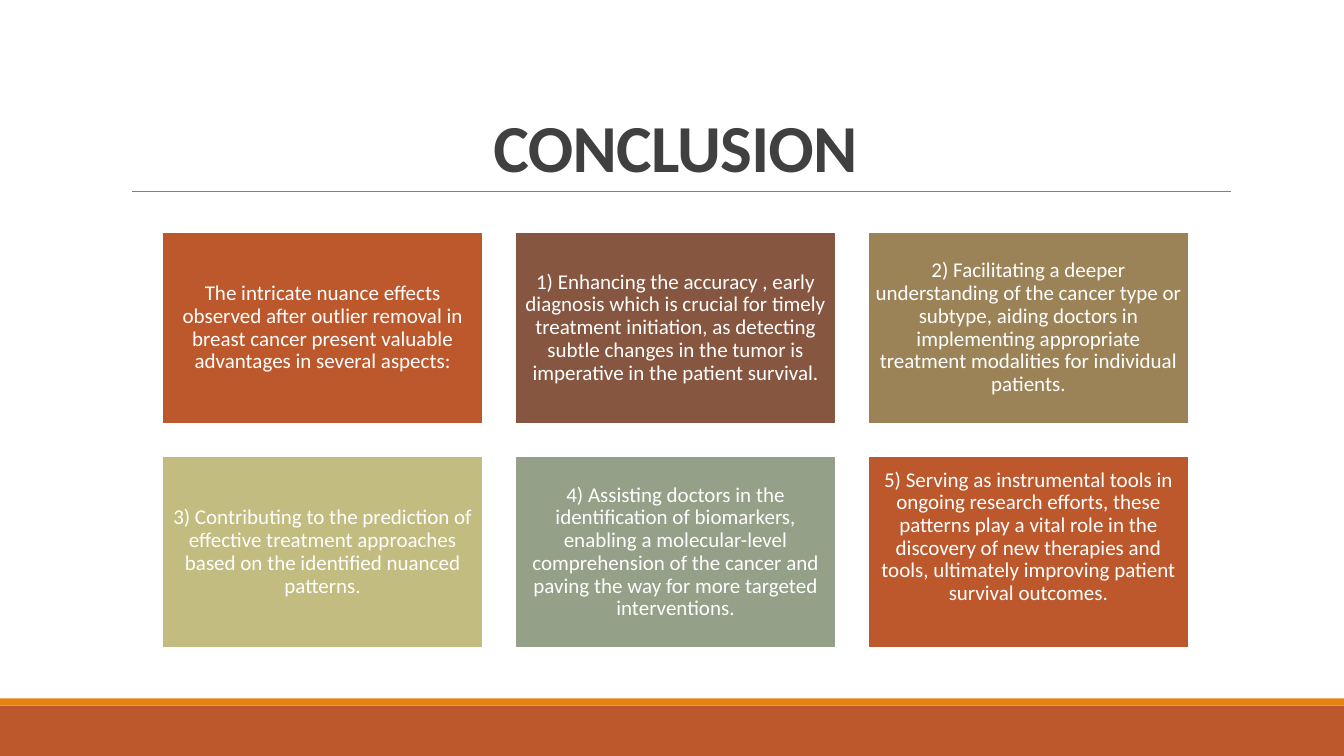
from lxml import etree
from pptx import Presentation
from pptx.dml.color import RGBColor
from pptx.enum.shapes import MSO_CONNECTOR as CONN, MSO_SHAPE as SHAPE
from pptx.enum.text import MSO_ANCHOR as ANCHOR, MSO_AUTO_SIZE as AUTO, PP_ALIGN as ALIGN
from pptx.oxml.ns import qn
from pptx.util import Inches, Pt

FONT = "Calibri"
CARDS = [
    ("BD582C", "The intricate nuance effects observed after outlier removal in breast cancer "
               "present valuable advantages in several aspects:", 0.06),
    ("865640", "1) Enhancing the accuracy , early diagnosis which is crucial for timely treatment "
               "initiation, as detecting subtle changes in the tumor is imperative in the patient "
               "survival.", 0.06),
    ("9B8357", "2) Facilitating a deeper understanding of the cancer type or subtype, aiding doctors "
               "in implementing appropriate treatment modalities for individual patients.", 0.06),
    ("C2BC80", "3) Contributing to the prediction of effective treatment approaches based on the "
               "identified nuanced patterns.", 0.06),
    ("94A088", "4) Assisting doctors in the identification of biomarkers, enabling a molecular-level "
               "comprehension of the cancer and paving the way for more targeted interventions.", 0.06),
    ("BD582C", "5) Serving as instrumental tools in ongoing research efforts, these patterns play a "
               "vital role in the discovery of new therapies and tools, ultimately improving patient "
               "survival outcomes.", 0.36),
]


def rgb(value):
    return RGBColor.from_string(value)


def add_rect(s, x, y, w, h, fill):
    sp = s.shapes.add_shape(SHAPE.RECTANGLE, Inches(x), Inches(y), Inches(w), Inches(h))
    sp.shadow.inherit = False
    sp.fill.solid()
    sp.fill.fore_color.rgb = rgb(fill)
    sp.line.fill.background()
    return sp


def add_text(tf, text, size, color, spacing):
    p = tf.paragraphs[0]
    p.alignment = ALIGN.CENTER
    p.line_spacing = spacing
    r = p.add_run()
    r.text = text
    r.font.name = FONT
    r.font.size = Pt(size)
    r.font.color.rgb = rgb(color)
    return r


def add_footer_bands(s, x, y, w, h):
    stripe = 0.07
    add_rect(s, x, y + stripe, w, h - stripe, "BD582C")
    add_rect(s, x, y, w, stripe, "E48312")


def add_title(s, x, y, w, h):
    title = s.shapes.title
    title.left, title.top = Inches(x), Inches(y)
    title.width, title.height = Inches(w), Inches(h)
    tf = title.text_frame
    tf.word_wrap = True
    tf.auto_size = AUTO.NONE
    tf.vertical_anchor = ANCHOR.BOTTOM
    r = add_text(tf, "CONCLUSION", 48, "404040", 0.85)
    r.font.bold = True
    r._r.get_or_add_rPr().set("spc", "-50")

    left, right, bottom = x + 0.11, x + w + 0.01, y + h
    rule = s.shapes.add_connector(
        CONN.STRAIGHT, Inches(left), Inches(bottom), Inches(right), Inches(bottom))
    rule.line.color.rgb = rgb("808080")
    rule.line.width = Pt(0.5)
    etree.SubElement(rule._element.spPr, qn("a:effectLst"))


def add_card(s, x, y, w, h, fill, text, bottom_inset):
    sp = add_rect(s, x, y, w, h, fill)
    sp.line.color.rgb = rgb("FFFFFF")
    sp.line.width = Pt(1.25)
    tf = sp.text_frame
    tf.word_wrap = True
    tf.vertical_anchor = ANCHOR.MIDDLE
    tf.margin_left = tf.margin_right = tf.margin_top = Inches(0.06)
    tf.margin_bottom = Inches(bottom_inset)
    add_text(tf, text, 15, "FFFFFF", 0.9)


def add_card_grid(s, x, y, w, h):
    cols, gap = 3, 0.32
    rows = len(CARDS) // cols
    card_w = (w - gap * (cols - 1)) / cols
    card_h = (h - gap * (rows - 1)) / rows
    for i, (fill, text, bottom_inset) in enumerate(CARDS):
        row, col = divmod(i, cols)
        add_card(s, x + col * (card_w + gap), y + row * (card_h + gap),
                 card_w, card_h, fill, text, bottom_inset)


def main():
    prs = Presentation()
    prs.slide_width, prs.slide_height = Inches(13.33), Inches(7.5)
    s = prs.slides.add_slide(prs.slide_layouts[5])
    add_footer_bands(s, 0, 6.93, 13.33, 0.57)
    add_title(s, 1.2, 0.31, 11, 1.59)
    add_card_grid(s, 1.61, 2.3, 10.18, 4.13)
    prs.save("out.pptx")


if __name__ == "__main__":
    main()
